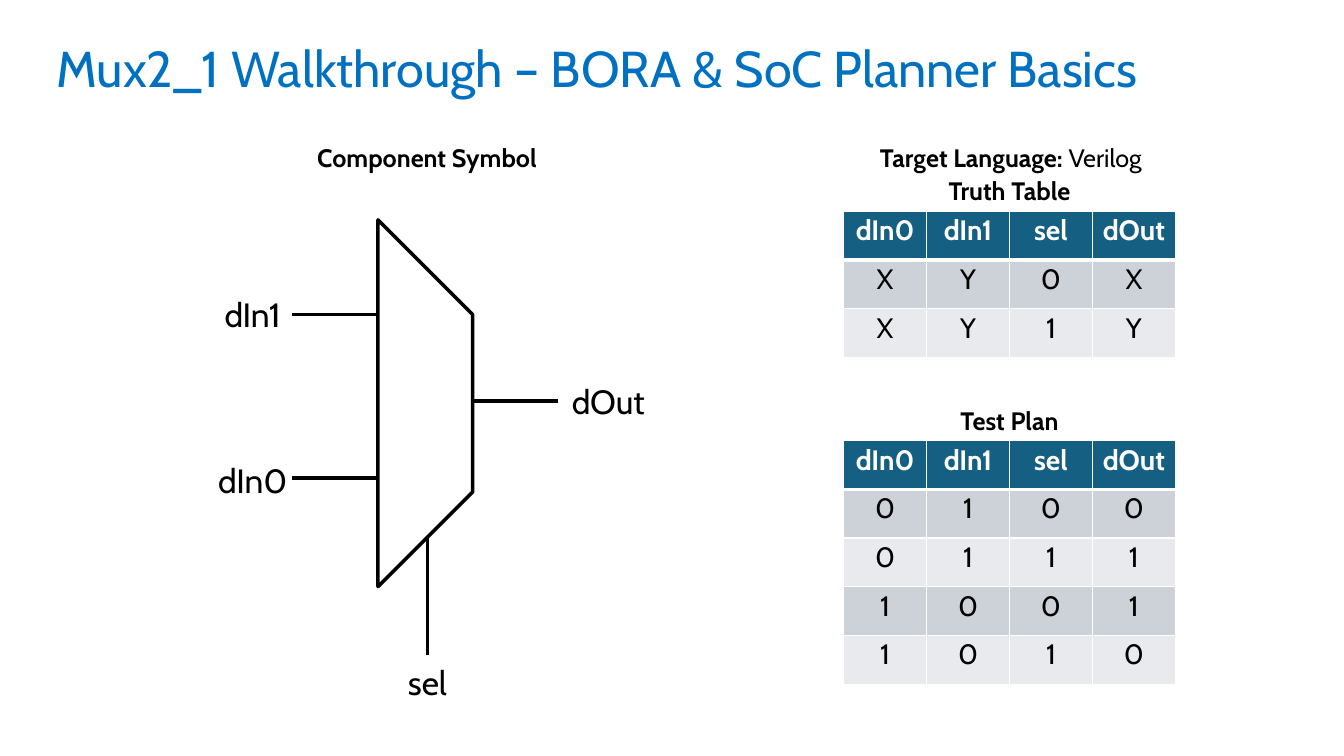
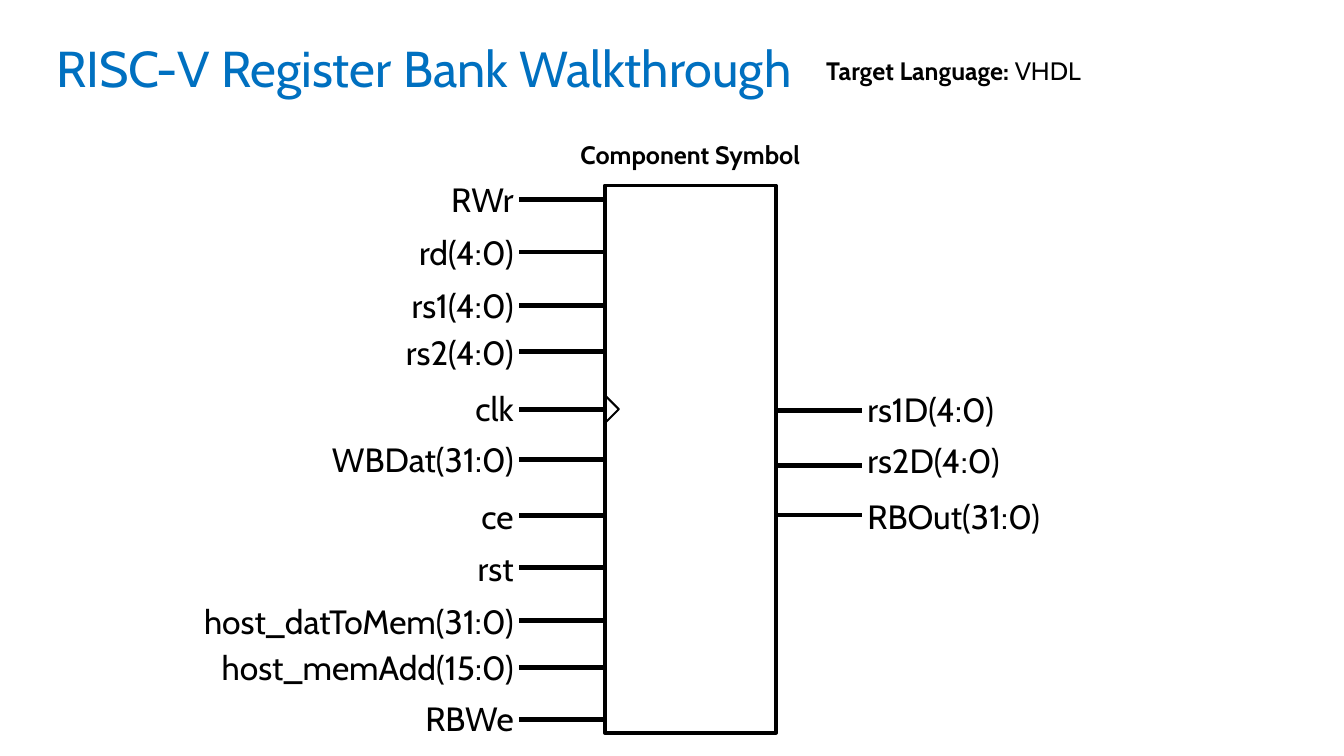
from dataclasses import dataclass

from lxml import etree
from pptx import Presentation
from pptx.dml.color import RGBColor
from pptx.enum import shapes, text
from pptx.oxml import ns
from pptx.util import Pt


@dataclass(frozen=True)
class Theme:
    font: str = "Cabin"
    ink: str = "000000"
    title: str = "0070C0"
    white: str = "FFFFFF"
    header: str = "156082"
    bands: tuple = ("CCD2D8", "E8EAED")
    title_size: int = 36
    pin_size: int = 24
    cell_size: int = 20
    caption_size: int = 18
    outline: float = 2.5
    bus: float = 3.5
    marker: float = 1.5
    border: int = 1
    header_rule: int = 3


@dataclass(frozen=True)
class Box:
    left: float
    top: float
    width: float
    height: float

    @property
    def right(self):
        return self.left + self.width

    @property
    def bottom(self):
        return self.top + self.height

    def points(self):
        return [Pt(v) for v in (self.left, self.top, self.width, self.height)]


@dataclass(frozen=True)
class Pin:
    """A port at height y below the top of its symbol."""
    name: str
    y: float
    label_shift: float = 0


THEME = Theme()
ALIGN = text.PP_ALIGN
TITLE_BOX = Box(33, 28, 828, 104)
CAPTION_HEIGHT = 29
LABEL_HEIGHT = 36
WIRE_LENGTH = 61.2


def add_run(paragraph, wording, size, color=THEME.ink, bold=False):
    run = paragraph.add_run()
    run.text = wording
    run.font.name = THEME.font
    run.font.size = Pt(size)
    run.font.bold = bold
    run.font.color.rgb = RGBColor.from_string(color)


def add_text(slide, box, runs, size, align=ALIGN.CENTER):
    """Write (wording, bold) runs on one line."""
    frame = slide.shapes.add_textbox(*box.points()).text_frame
    frame.word_wrap = True
    paragraph = frame.paragraphs[0]
    paragraph.alignment = align
    for wording, bold in runs:
        add_run(paragraph, wording, size, bold=bold)


def add_caption(slide, left, top, width, wording, detail=None):
    runs = [(wording, True)]
    if detail:
        runs.append((detail, False))
    add_text(slide, Box(left, top, width, CAPTION_HEIGHT), runs, THEME.caption_size)


def add_label(slide, name, left, middle, width, align):
    box = Box(left, middle - LABEL_HEIGHT / 2, width, LABEL_HEIGHT)
    add_text(slide, box, [(name, False)], THEME.pin_size, align)


def add_wire(slide, x1, y1, x2, y2, weight):
    wire = slide.shapes.add_connector(
        shapes.MSO_CONNECTOR.STRAIGHT, Pt(x1), Pt(y1), Pt(x2), Pt(y2))
    wire.line.color.rgb = RGBColor.from_string(THEME.ink)
    wire.line.width = Pt(weight)
    etree.SubElement(wire._element.spPr, ns.qn("a:effectLst"))


def style_outline(shape, weight):
    shape.shadow.inherit = False
    shape.fill.background()
    shape.line.color.rgb = RGBColor.from_string(THEME.ink)
    shape.line.width = Pt(weight)


def add_outline(slide, corners, weight, close):
    start, *others = [(Pt(x), Pt(y)) for x, y in corners]
    builder = slide.shapes.build_freeform(*start)
    builder.add_line_segments(others, close=close)
    style_outline(builder.convert_to_shape(), weight)


def add_titled_slide(deck, wording):
    slide = deck.slides.add_slide(deck.slide_layouts[5])
    title = slide.shapes.title
    title.left, title.top, title.width, title.height = TITLE_BOX.points()
    frame = title.text_frame
    frame.auto_size = text.MSO_AUTO_SIZE.NONE
    frame.vertical_anchor = text.MSO_ANCHOR.TOP
    paragraph = frame.paragraphs[0]
    paragraph.alignment = ALIGN.LEFT
    paragraph.line_spacing = 0.9
    add_run(paragraph, wording, THEME.title_size, THEME.title)
    return slide


def set_borders(cell, top, bottom):
    """Draw white borders; they must precede the fill in the cell properties."""
    weights = {"lnL": THEME.border, "lnR": THEME.border, "lnT": top, "lnB": bottom}
    properties = cell._tc.get_or_add_tcPr()
    for position, (side, weight) in enumerate(weights.items()):
        border = etree.Element(ns.qn(f"a:{side}"), w=str(Pt(weight)))
        solid = etree.SubElement(border, ns.qn("a:solidFill"))
        etree.SubElement(solid, ns.qn("a:srgbClr"), val=THEME.white)
        properties.insert(position, border)


def fill_cell(cell, value, row):
    is_header = row == 0
    fill = THEME.header if is_header else THEME.bands[(row - 1) % 2]
    cell.fill.solid()
    cell.fill.fore_color.rgb = RGBColor.from_string(fill)
    set_borders(cell,
                top=THEME.header_rule if row == 1 else THEME.border,
                bottom=THEME.header_rule if is_header else THEME.border)
    cell.margin_left = cell.margin_right = Pt(5)
    cell.margin_top = cell.margin_bottom = 0
    paragraph = cell.text_frame.paragraphs[0]
    paragraph.alignment = ALIGN.CENTER
    paragraph.line_spacing = 1.07
    paragraph.space_after = Pt(8)
    add_run(paragraph, value, THEME.cell_size,
            THEME.white if is_header else THEME.ink, is_header)


def add_logic_table(slide, box, caption, cases):
    """Stack a caption and a table of signal values; each case is one string."""
    add_caption(slide, box.left, box.top, box.width, caption)
    rows = [("dIn0", "dIn1", "sel", "dOut"), *cases]
    area = Box(box.left, box.top + CAPTION_HEIGHT, box.width,
               box.height - CAPTION_HEIGHT)
    table = slide.shapes.add_table(len(rows), len(rows[0]), *area.points()).table
    for row, values in enumerate(rows):
        table.rows[row].height = Pt(area.height / len(rows))
        for column, value in enumerate(values):
            fill_cell(table.cell(row, column), value, row)


def add_mux_symbol(slide, box):
    """Draw a multiplexer whose slanted sides run at 45 degrees."""
    slant = box.width
    corners = [(box.left, box.top), (box.right, box.top + slant),
               (box.right, box.bottom - slant), (box.left, box.bottom)]
    add_outline(slide, corners, THEME.outline, close=True)
    label_width = 139

    for pin in (Pin("dIn1", slant), Pin("dIn0", 184.3, 1.4)):
        y = box.top + pin.y
        add_wire(slide, box.left - WIRE_LENGTH, y, box.left, y, THEME.outline)
        add_label(slide, pin.name, box.left - 159, y + pin.label_shift,
                  label_width, ALIGN.CENTER)

    out_y = box.top + 129.6
    add_wire(slide, box.right, out_y, box.right + WIRE_LENGTH, out_y, THEME.outline)
    add_label(slide, "dOut", box.right + 27.4, out_y, label_width, ALIGN.CENTER)

    sel_x = box.left + 35.3
    sel_end = box.bottom + 49
    add_wire(slide, sel_x, box.bottom - 35.3, sel_x, sel_end, THEME.outline)
    add_label(slide, "sel", sel_x - label_width / 2,
              sel_end + 1.4 + LABEL_HEIGHT / 2, label_width, ALIGN.CENTER)


def add_register_symbol(slide, box, inputs, outputs, clock):
    body = slide.shapes.add_shape(shapes.MSO_SHAPE.RECTANGLE, *box.points())
    style_outline(body, THEME.outline)
    sides = ((inputs, box.left, -1, ALIGN.RIGHT), (outputs, box.right, 1, ALIGN.LEFT))
    label_width = 334
    label_gap = 58
    for pins, edge, direction, align in sides:
        label_left = edge + direction * label_gap
        if direction < 0:
            label_left -= label_width
        for pin in pins:
            y = box.top + pin.y
            add_wire(slide, edge, y, edge + direction * WIRE_LENGTH, y, THEME.bus)
            add_label(slide, pin.name, label_left, y + pin.label_shift,
                      label_width, align)
            if pin.name == clock:
                notch = 10
                add_outline(slide, [(edge, y - notch), (edge + notch, y),
                                    (edge, y + notch)], THEME.marker, close=False)


def add_mux_slide(deck):
    slide = add_titled_slide(deck, "Mux2_1 Walkthrough – BORA & SoC Planner Basics")
    add_caption(slide, 113, 98, 384, "Component Symbol")
    add_mux_symbol(slide, Box(270, 157, 67.7, 262))
    add_caption(slide, 530, 98, 384, "Target Language: ", "Verilog")
    add_logic_table(slide, Box(602.6, 122, 237, 133.4), "Truth Table",
                    ("XY0X", "XY1Y"))
    add_logic_table(slide, Box(602.6, 285.8, 237, 203), "Test Plan",
                    ("0100", "0111", "1001", "1010"))


def add_register_slide(deck):
    slide = add_titled_slide(deck, "RISC-V Register Bank Walkthrough")
    add_caption(slide, 489, 36, 384, "Target Language: ", "VHDL")
    add_caption(slide, 301, 96, 384, "Component Symbol")
    inputs = (
        Pin("RWr", 10), Pin("rd(4:0)", 47.5), Pin("rs1(4:0)", 85.7),
        Pin("rs2(4:0)", 118.8), Pin("clk", 159.8, -1), Pin("WBDat(31:0)", 195.8),
        Pin("ce", 236), Pin("rst", 273), Pin("host_datToMem(31:0)", 311),
        Pin("host_memAdd(15:0)", 344), Pin("RBWe", 381.6, -1),
    )
    outputs = (Pin("rs1D(4:0)", 160.5, -1), Pin("rs2D(4:0)", 200, -3.5),
               Pin("RBOut(31:0)", 235.4, 1))
    add_register_symbol(slide, Box(432, 132.5, 122.4, 391), inputs, outputs, "clk")


def main():
    deck = Presentation()
    deck.slide_width, deck.slide_height = Pt(960), Pt(540)
    add_mux_slide(deck)
    add_register_slide(deck)
    deck.save("out.pptx")


if __name__ == "__main__":
    main()
